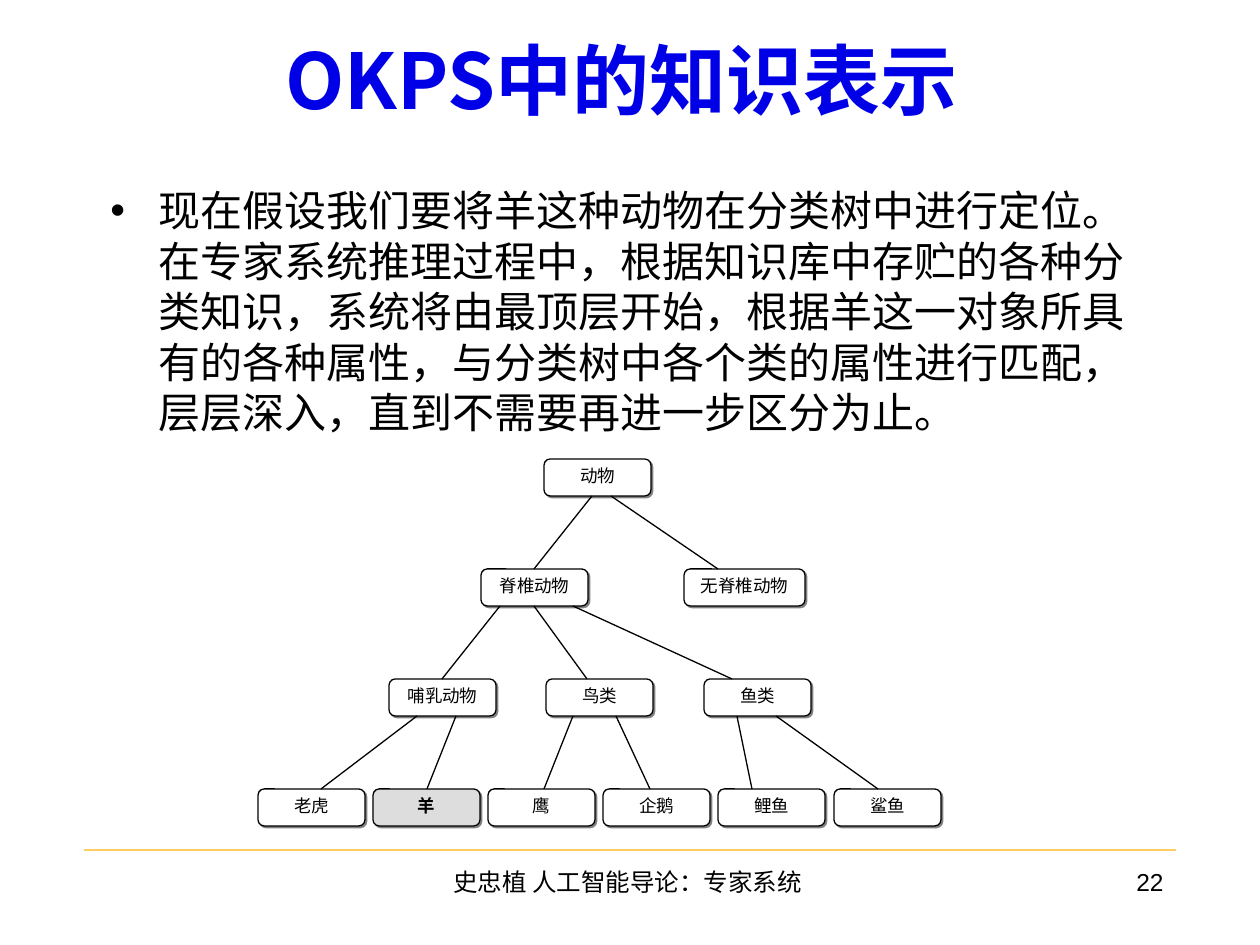
from lxml.etree import SubElement
from pptx import Presentation
from pptx.dml.color import RGBColor
from pptx.enum.shapes import MSO_CONNECTOR, MSO_SHAPE
from pptx.enum.text import MSO_ANCHOR, PP_ALIGN
from pptx.oxml.ns import qn
from pptx.util import Emu, Pt

BLUE = RGBColor(0x00, 0x00, 0xE7)
BLACK = RGBColor(0x00, 0x00, 0x00)
WHITE = RGBColor(0xFF, 0xFF, 0xFF)
GREY = RGBColor(0xDD, 0xDD, 0xDD)
GOLD = RGBColor(0xFF, 0xCC, 0x66)
CJK_FONT = "Noto Sans CJK SC"


def px(*lengths):
    """Turn pixels at 126 to the inch into EMU."""
    return [Emu(round(length * 914400 / 126)) for length in lengths]


def add_text(shape, text, size, font, color, align, bold=False):
    shape.text_frame.word_wrap = True
    paragraph = shape.text_frame.paragraphs[0]
    paragraph.alignment = align
    run = paragraph.add_run()
    run.text = text
    run.font.size = Pt(size)
    run.font.name = font
    run.font.bold = bold
    run.font.color.rgb = color
    SubElement(run.font._element, qn("a:ea"), typeface=CJK_FONT)
    return paragraph


presentation = Presentation()
presentation.slide_width, presentation.slide_height = px(1260, 945)
slide = presentation.slides.add_slide(presentation.slide_layouts[5])

title = slide.shapes.title
title.left, title.top, title.width, title.height = px(95, 0, 1071, 158)
title.text_frame.vertical_anchor = MSO_ANCHOR.MIDDLE
add_text(title, "OKPS中的知识表示 ", 44, CJK_FONT, BLUE, PP_ALIGN.CENTER, bold=True)

body = slide.shapes.add_textbox(*px(98, 175, 1071, 567))
body.text_frame.margin_top = px(10)[0]
paragraph = add_text(
    body,
    "现在假设我们要将羊这种动物在分类树中进行定位。"
    "在专家系统推理过程中，根据知识库中存贮的各种分类知识，"
    "系统将由最顶层开始，根据羊这一对象所具有的各种属性，"
    "与分类树中各个类的属性进行匹配，层层深入，直到不需要再进一步区分为止。",
    24, CJK_FONT, BLACK, PP_ALIGN.LEFT)
paragraph.line_spacing = Pt(28.8)
indent = px(48)[0]
properties = paragraph._p.get_or_add_pPr()
properties.set("marL", str(indent))
properties.set("indent", str(-indent))
SubElement(properties, qn("a:buFont"), typeface="Arial")
SubElement(properties, qn("a:buChar"), char="•")

# Classification tree: (left, width, label) of each node, level by level
NODE_HEIGHT, NODE_WIDTH = 37, 107
TREE_TOP, LEVEL_STEP = 459, 110
leaves = ["老虎", "羊", "鹰", "企鹅", "鲤鱼", "鲨鱼"]
levels = [
    [(544, NODE_WIDTH, "动物")],
    [(481, NODE_WIDTH, "脊椎动物"), (684, 121, "无脊椎动物")],
    [(389, NODE_WIDTH, "哺乳动物"), (546, NODE_WIDTH, "鸟类"), (704, NODE_WIDTH, "鱼类")],
    [(258 + 576 * i // 5, NODE_WIDTH, label) for i, label in enumerate(leaves)],
]
# x at the parent's bottom edge and at the child's top edge
branches = [
    [(592, 534), (611, 718)],
    [(500, 442), (534, 587), (573, 732)],
    [(417, 321), (456, 427), (573, 544), (616, 650), (737, 752), (776, 878)],
]

tree = slide.shapes.add_group_shape()
for level, nodes in enumerate(levels):
    top = TREE_TOP + LEVEL_STEP * level
    for left, width, label in nodes:
        target = label == "羊"
        node = tree.shapes.add_shape(
            MSO_SHAPE.ROUNDED_RECTANGLE, *px(left, top, width, NODE_HEIGHT))
        node.adjustments[0] = 0.17
        node.fill.solid()
        node.fill.fore_color.rgb = GREY if target else WHITE
        node.line.color.rgb = BLACK
        node.line.width = Pt(0.75)
        node.shadow.inherit = False
        effects = node._element.spPr.find(qn("a:effectLst"))
        shadow = SubElement(effects, qn("a:outerShdw"), dist=str(Pt(1.4)),
                            dir="2700000", algn="ctr", rotWithShape="0")
        SubElement(shadow, qn("a:srgbClr"), val="808080")
        frame = node.text_frame
        frame.vertical_anchor = MSO_ANCHOR.TOP
        frame.margin_left = frame.margin_right = frame.margin_bottom = 0
        frame.margin_top = px(4)[0]
        add_text(node, label, 10, "Times New Roman", BLACK, PP_ALIGN.CENTER, target)

lines = []
for level, pairs in enumerate(branches):
    top = TREE_TOP + LEVEL_STEP * level
    for start, end in pairs:
        branch = tree.shapes.add_connector(
            MSO_CONNECTOR.STRAIGHT, *px(start, top + NODE_HEIGHT, end, top + LEVEL_STEP))
        lines.append((branch, BLACK, 0.75))

footer_rule = slide.shapes.add_connector(MSO_CONNECTOR.STRAIGHT, *px(84, 850, 1176, 850))
lines.append((footer_rule, GOLD, 1.5))
for line, color, weight in lines:
    line.line.color.rgb = color
    line.line.width = Pt(weight)
    SubElement(line._element.spPr, qn("a:effectLst"))

for left, width, text, align in [
    (431, 399, "史忠植 人工智能导论：专家系统 ", PP_ALIGN.CENTER),
    (914, 262, "22", PP_ALIGN.RIGHT),
]:
    footer = slide.shapes.add_textbox(*px(left, 861, width, 63))
    add_text(footer, text, 14, "Arial", BLACK, align)

presentation.save("out.pptx")
